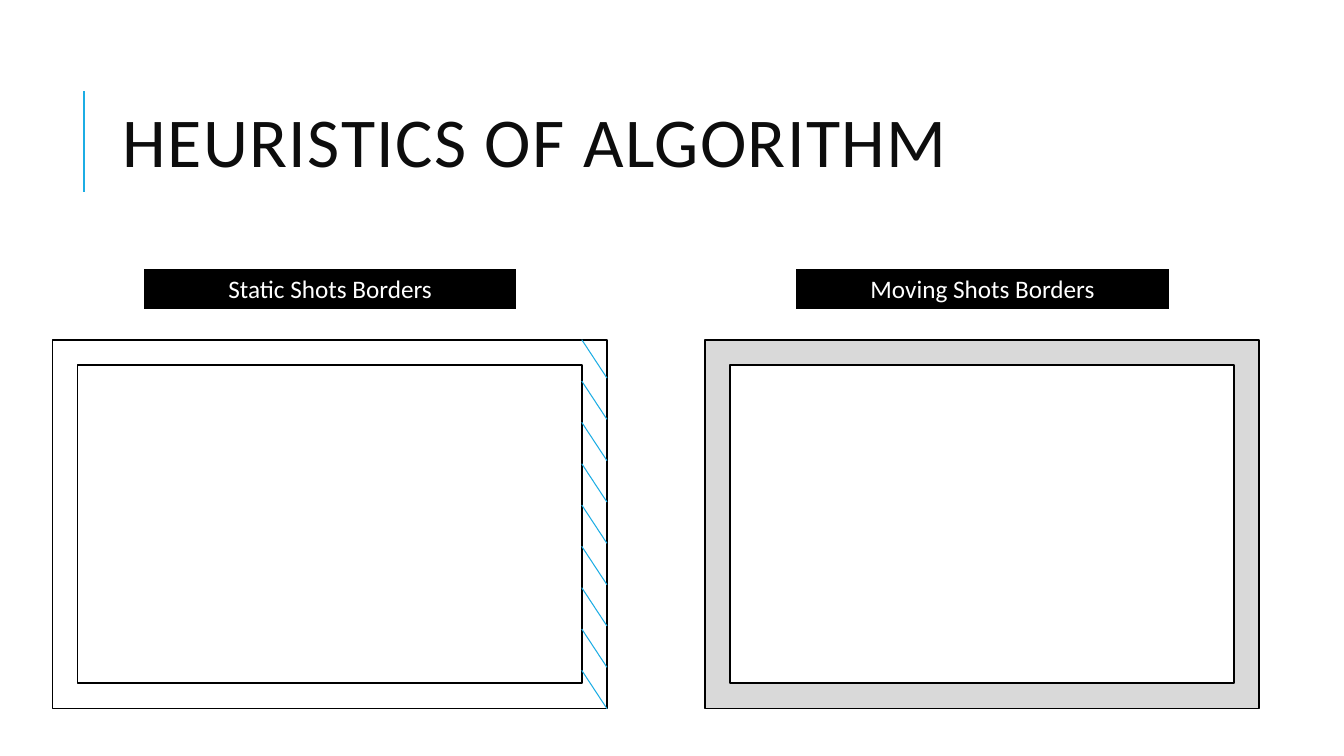
from pptx import Presentation
from pptx.dml.color import RGBColor as RGB
from pptx.enum.shapes import MSO_CONNECTOR as LINK, MSO_SHAPE as SHAPE
from pptx.enum.text import MSO_ANCHOR as ANCHOR, PP_ALIGN as ALIGN
from pptx.oxml.ns import qn
from pptx.util import Pt
from lxml.etree import SubElement

PX = 9144  # 100 px to the inch
THEME = {
    "font": "Calibri",
    "ink": RGB.from_string("0D0D0D"),
    "black": RGB.from_string("000000"),
    "white": RGB.from_string("FFFFFF"),
    "grey": RGB.from_string("D9D9D9"),
    "blue": RGB.from_string("1CADE4"),
    "title": Pt(50),
    "label": Pt(18),
    "edge": Pt(1.25),
    "rule": Pt(1.5),
    "hatch": Pt(0.75),
}

deck = Presentation()
deck.slide_width, deck.slide_height = 1333 * PX, 750 * PX
slide = deck.slides.add_slide(deck.slide_layouts[6])
shapes = slide.shapes


def add_box(x, y, w, h, fill, edge):
    """Add a bordered rectangle; a fill of None leaves it clear."""
    box = shapes.add_shape(SHAPE.RECTANGLE, x * PX, y * PX, w * PX, h * PX)
    box.shadow.inherit = False
    if fill is None:
        box.fill.background()
    else:
        box.fill.solid()
        box.fill.fore_color.rgb = THEME[fill]
    box.line.color.rgb = THEME[edge]
    box.line.width = THEME["edge"]
    return box


def add_line(x1, y1, x2, y2, width):
    line = shapes.add_connector(LINK.STRAIGHT, x1 * PX, y1 * PX, x2 * PX, y2 * PX)
    line.line.color.rgb = THEME["blue"]
    line.line.width = THEME[width]
    SubElement(line._element.spPr, qn("a:effectLst"))


# Title and its rule
add_line(83, 190, 83, 90, "rule")
title = shapes.add_textbox(112 * PX, 64 * PX, 1063 * PX, 164 * PX)
texts = [(title, "HEURISTICS OF ALGORITHM", "title", "ink", ALIGN.LEFT)]

# Panels: a label above two nested frames
TOP, WIDE, HIGH, RIM = 337, 550, 366, 25
LEFT = 52
panels = [
    (LEFT, "Static Shots Borders", None),
    (699, "Moving Shots Borders", "grey"),
]
for x, name, fill in panels:
    label = add_box(x + 90, 266, 371, 41, "black", "white")
    texts.append((label, name, "label", "white", ALIGN.CENTER))
    add_box(x, TOP, WIDE, HIGH, fill, "black")
    add_box(x + RIM, TOP + RIM, WIDE - 2 * RIM, HIGH - 2 * RIM, "white", "black")

# Hatching down the right rim of the static panel
COUNT, DROP = 9, 38
right = LEFT + WIDE
for i in range(COUNT):
    y = TOP + round(i * (HIGH - DROP) / (COUNT - 1))
    add_line(right - RIM, y, right, y + DROP, "hatch")

# Wording
for box, words, size, color, align in texts:
    frame = box.text_frame
    frame.word_wrap = True
    frame.vertical_anchor = ANCHOR.MIDDLE
    para = frame.paragraphs[0]
    para.alignment = align
    run = para.add_run()
    run.text = words
    style = {"name": THEME["font"], "size": THEME[size], "bold": False}
    for key, value in style.items():
        setattr(run.font, key, value)
    run.font.color.rgb = THEME[color]

head = title.text_frame.paragraphs[0]
head.line_spacing = 0.8
head.runs[0]._r.get_or_add_rPr().set("spc", "100")

deck.save("out.pptx")
